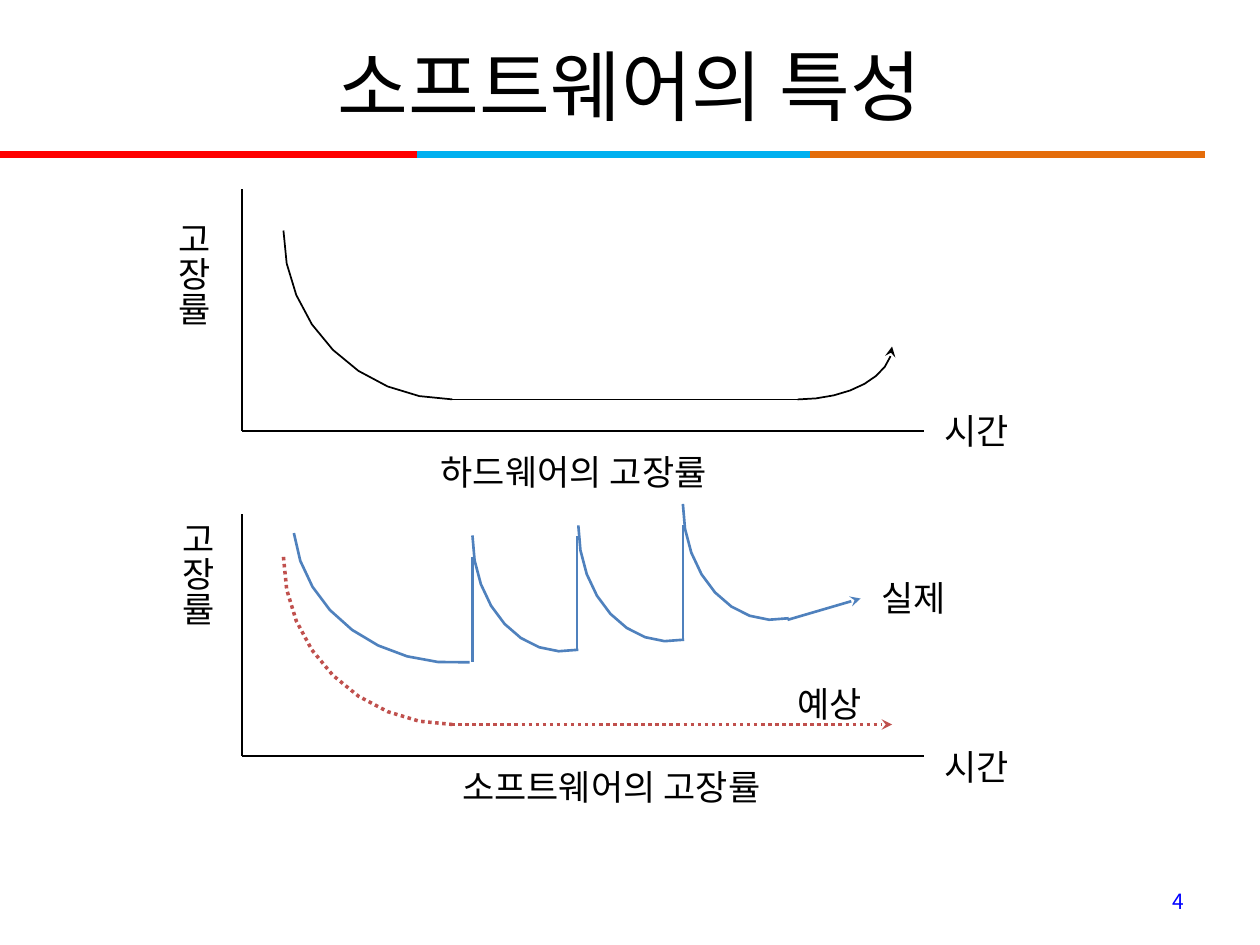
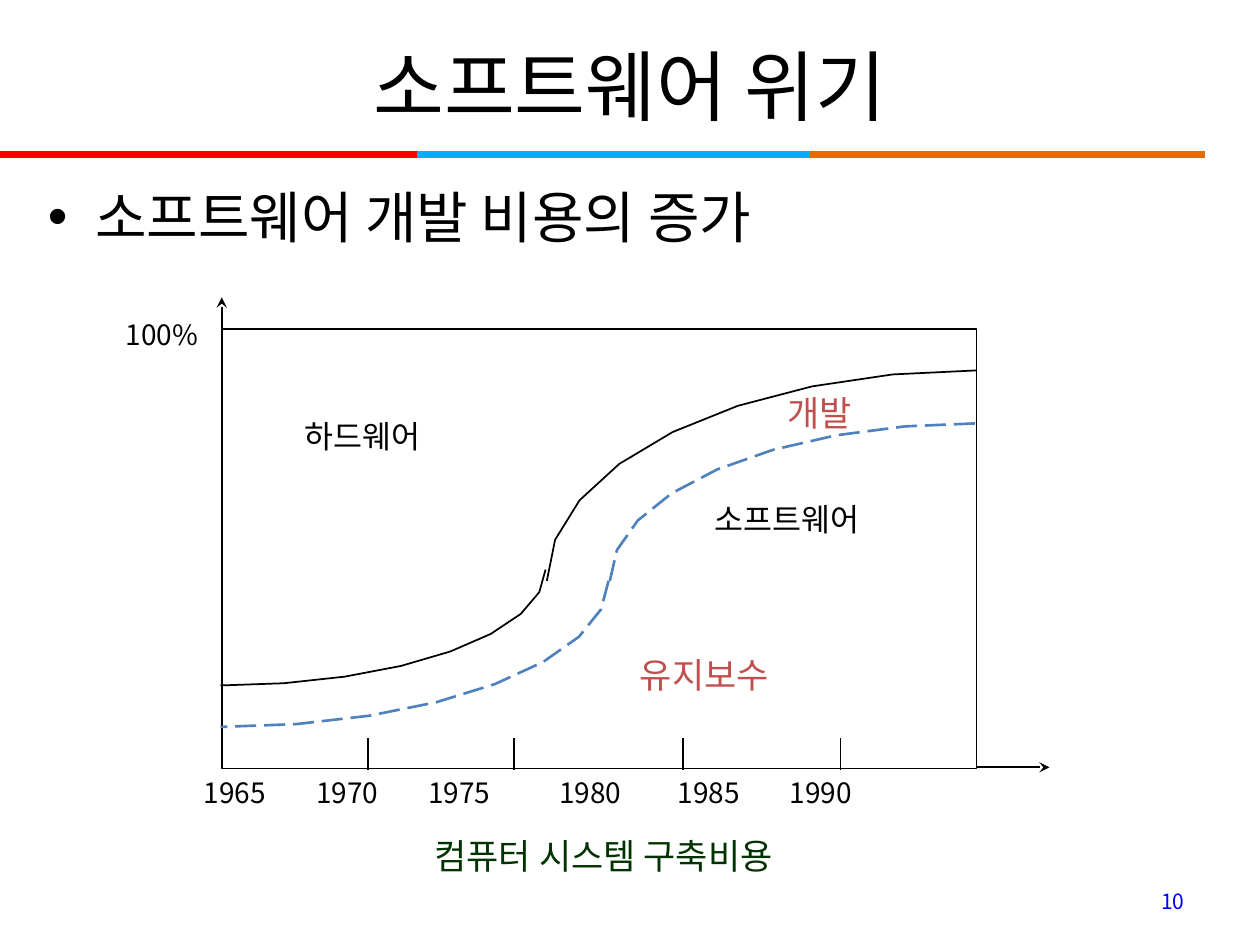
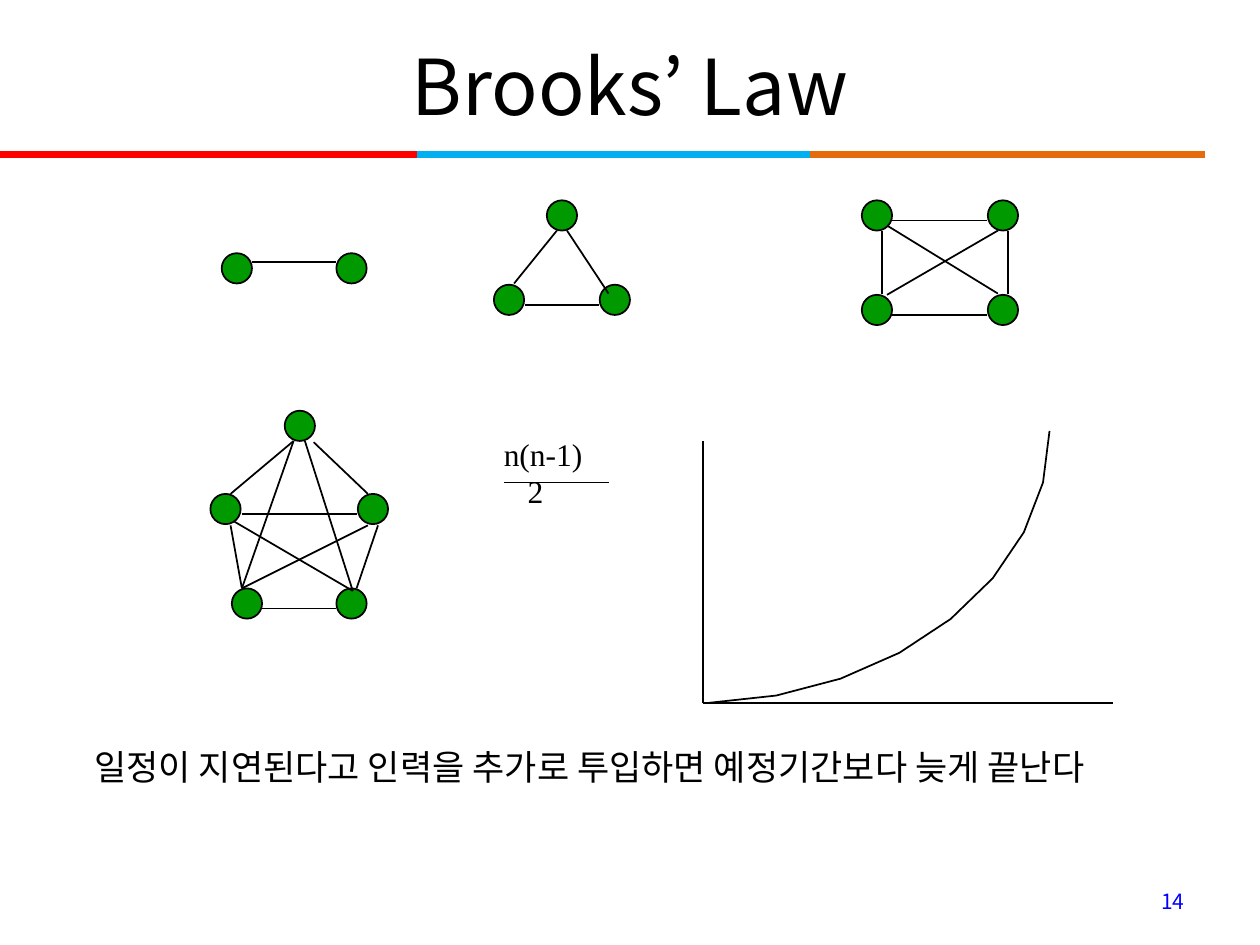
import math

import pptx
import pptx.dml.color
import pptx.enum.dml
import pptx.enum.shapes
import pptx.enum.text
import pptx.oxml
import pptx.oxml.ns
import pptx.util

Inches = pptx.util.Inches
DASH = pptx.enum.dml.MSO_LINE
ALIGN = pptx.enum.text.PP_ALIGN
ANCHOR = pptx.enum.text.MSO_ANCHOR
AUTO_SIZE = pptx.enum.text.MSO_AUTO_SIZE
SHAPE = pptx.enum.shapes.MSO_SHAPE

COLORS = {
    "ink": "000000", "band_red": "FF0000", "band_blue": "00B0F0",
    "band_orange": "E46C0A", "page": "0000FF", "actual": "4F81BD",
    "expected": "C0504D", "caption": "003300", "person": "009900",
}
SANS = "Noto Sans CJK KR"
SERIF = "Times New Roman"
BANDS = [(0, 3.31, "band_red"), (3.31, 6.43, "band_blue"), (6.43, 9.56, "band_orange")]
DOT = 0.24
ARC_STEPS = 8


def rgb(color):
    return pptx.dml.color.RGBColor.from_string(COLORS[color])


def sub_element(parent, tag, **attributes):
    child = pptx.oxml.parse_xml(f"<{tag} {pptx.oxml.ns.nsdecls('a')}/>")
    for key, value in attributes.items():
        child.set(key, value)
    parent.append(child)
    return child


# Text
def write(paragraph, text, size, color="ink", font=SANS):
    run = paragraph.add_run()
    run.text = text
    run.font.size = pptx.util.Pt(size)
    run.font.name = font
    run.font.color.rgb = rgb(color)


def place(box, left, top, width, height):
    box.left, box.top = Inches(left), Inches(top)
    box.width, box.height = Inches(width), Inches(height)


def stack_vertically(frame):
    frame._txBody.bodyPr.set("vert", "eaVert")


def add_label(slide, text, left, top, width, height=0.44, size=20, color="ink", font=SANS):
    box = slide.shapes.add_textbox(
        Inches(left), Inches(top), Inches(width), Inches(height))
    frame = box.text_frame
    frame.word_wrap = False
    frame.auto_size = AUTO_SIZE.SHAPE_TO_FIT_TEXT
    write(frame.paragraphs[0], text, size, color, font)
    return frame


# Lines and curves
def style_line(shape, color, width, dash, arrow):
    shape.line.color.rgb = rgb(color)
    shape.line.width = pptx.util.Pt(width)
    if dash:
        shape.line.dash_style = dash
    if arrow:
        sub_element(shape.line._get_or_add_ln(), f"a:{arrow}", type="stealth")


def add_line(slide, start, end, color="ink", width=1, dash=None, arrow=None):
    line = slide.shapes.add_connector(
        pptx.enum.shapes.MSO_CONNECTOR.STRAIGHT, *map(Inches, (*start, *end)))
    style_line(line, color, width, dash, arrow)
    sub_element(line._element.spPr, "a:effectLst")


def add_arc(slide, start, end, color="ink", width=1, dash=None, arrow=None,
            sweep=90, tilt=0):
    """Elliptical arc: upright at start, level at end; sweep 90 stops at end."""
    points = []
    for step in range(ARC_STEPS + 1):
        angle = math.radians(sweep * step / ARC_STEPS)
        x = end[0] + (start[0] - end[0]) * math.cos(angle)
        y = start[1] + (end[1] - start[1]) * math.sin(angle)
        points.append((Inches(x), Inches(y)))
    builder = slide.shapes.build_freeform(*points[0], scale=1.0)
    builder.add_line_segments(points[1:], close=False)
    arc = builder.convert_to_shape()
    arc.fill.background()
    arc.shadow.inherit = False
    arc.rotation = tilt
    style_line(arc, color, width, dash, arrow)


def add_axes(slide, left, top, right, bottom):
    add_line(slide, (left, top), (left, bottom))
    add_line(slide, (left, bottom), (right, bottom))


def add_preset(slide, kind, left, top, width, height, fill=None):
    shape = slide.shapes.add_shape(kind, *map(Inches, (left, top, width, height)))
    shape.shadow.inherit = False
    if fill:
        shape.fill.solid()
        shape.fill.fore_color.rgb = rgb(fill)
    else:
        shape.fill.background()
    style_line(shape, "ink", 1, None, None)


def add_team(slide, people, links):
    for left, top in people:
        add_preset(slide, SHAPE.OVAL, left, top, DOT, DOT, "person")
    for start, end in links:
        add_line(slide, start, end)


# Shared slide frame
def start_slide(deck, layout, title, page):
    slide = deck.slides.add_slide(deck.slide_layouts[layout])
    for left, right, color in BANDS:
        add_line(slide, (left, 1.23), (right, 1.23), color, 4)

    heading = slide.shapes.title
    place(heading, 0.5, 0.05, 9, 1.25)
    heading.text_frame.auto_size = AUTO_SIZE.NONE
    heading.text_frame.vertical_anchor = ANCHOR.MIDDLE
    heading.text_frame.paragraphs[0].alignment = ALIGN.CENTER
    write(heading.text_frame.paragraphs[0], title, 44)

    number = slide.shapes.add_textbox(*map(Inches, (7.17, 6.95, 2.33, 0.4))).text_frame
    number.word_wrap = True
    number.vertical_anchor = ANCHOR.MIDDLE
    number.paragraphs[0].alignment = ALIGN.RIGHT
    write(number.paragraphs[0], page, 12, "page")
    return slide


def failure_rate_slide(deck):
    slide = start_slide(deck, 1, "소프트웨어의 특성", "4")

    # Hardware failure rate
    add_axes(slide, 1.92, 1.5, 7.33, 3.42)
    add_arc(slide, (2.25, 1.83), (3.59, 3.17))
    add_line(slide, (3.58, 3.17), (6.33, 3.17))
    add_arc(slide, (7.08, 2.75), (6.33, 3.17), arrow="headEnd")
    stack_vertically(add_label(slide, "고장률", 1.21, 1.66, 0.54, 1))

    # Software failure rate, expected
    add_axes(slide, 1.92, 4.08, 7.33, 6)
    add_arc(slide, (2.25, 4.42), (3.59, 5.75), "expected", 2, DASH.ROUND_DOT)
    add_line(slide, (3.58, 5.75), (7.08, 5.75), "expected", 2, DASH.ROUND_DOT, "tailEnd")

    # Software failure rate, actual: each change causes a new peak
    add_arc(slide, (2.4, 4.15), (3.73, 5.34), "actual", 1.5, sweep=87, tilt=-7)
    for left, top in [(3.75, 4.25), (4.59, 4.17), (5.42, 4)]:
        add_arc(slide, (left, top), (left + 0.72, top + 0.92), "actual", 1.5, sweep=99.6)
    for x, bottom, top in [(3.75, 5.25, 4.42), (4.58, 5.17, 4.25), (5.42, 5.08, 4.17)]:
        add_line(slide, (x, bottom), (x, top), "actual", 1.5)
    add_line(slide, (6.25, 4.92), (6.83, 4.75), "actual", 1.5, arrow="tailEnd")

    axis_name = slide.placeholders[1]
    place(axis_name, 1.29, 4.09, 0.54, 1)
    frame = axis_name.text_frame
    frame.word_wrap = False
    frame.auto_size = AUTO_SIZE.SHAPE_TO_FIT_TEXT
    stack_vertically(frame)
    paragraph = frame.paragraphs[0]
    paragraph.space_before = pptx.util.Pt(0)
    properties = paragraph._p.get_or_add_pPr()
    properties.set("marL", "0")
    properties.set("indent", "0")
    sub_element(properties, "a:buNone")
    write(paragraph, "고장률", 20)

    for text, left, top, width in [
        ("시간", 7.4, 3.2, 0.77), ("하드웨어의 고장률", 3.4, 3.53, 2.56),
        ("시간", 7.4, 5.87, 0.77), ("실제", 6.9, 4.53, 0.77),
        ("예상", 6.23, 5.37, 0.77), ("소프트웨어의 고장률", 3.57, 6.03, 2.84),
    ]:
        add_label(slide, text, left, top, width)


def cost_slide(deck):
    slide = start_slide(deck, 1, "소프트웨어 위기", "10")
    body = slide.placeholders[1]
    place(body, 0.28, 1.4, 9.32, 4.52)
    body.text_frame.auto_size = AUTO_SIZE.NONE
    write(body.text_frame.paragraphs[0], "소프트웨어 개발 비용의 증가", 32)

    # Plot area and axes
    add_preset(slide, SHAPE.RECTANGLE, 1.76, 2.61, 5.99, 3.49)
    add_line(slide, (1.76, 2.86), (1.76, 2.36), arrow="tailEnd")
    add_line(slide, (7.75, 6.09), (8.33, 6.09), arrow="tailEnd")
    for x in (2.92, 4.08, 5.42, 6.67):
        add_line(slide, (x, 6.11), (x, 5.86))

    # Hardware/software border, then development/maintenance border
    add_arc(slide, (4.33, 4.52), (1.75, 5.44))
    add_arc(slide, (4.34, 4.61), (7.75, 2.94))
    add_arc(slide, (4.83, 4.61), (1.75, 5.77), "actual", 1.5, DASH.LONG_DASH)
    add_arc(slide, (4.84, 4.61), (7.75, 3.36), "actual", 1.5, DASH.LONG_DASH)

    # Labels
    add_label(slide, "하드웨어", 2.32, 3.26, 1.21, 0.4, 18, font=SERIF)
    add_label(slide, "소프트웨어", 5.57, 3.92, 1.46, 0.4, 18, font=SERIF)
    add_label(slide, "개발", 6.15, 3.06, 0.77, color="expected")
    add_label(slide, "유지보수", 4.98, 5.14, 1.33, color="expected")
    add_label(slide, "100%", 0.9, 2.47, 0.79, 0.37, 16)
    add_label(slide, "컴퓨터 시스템 구축비용", 3.35, 6.57, 3.21, color="caption")

    # Years, set on tab stops
    years = "\t".join(str(year) for year in range(1965, 1991, 5))
    frame = add_label(slide, years, 1.52, 6.11, 6.78, 0.37, 16)
    frame.word_wrap = True
    tabs = sub_element(frame.paragraphs[0]._p.get_or_add_pPr(), "a:tabLst")
    for stop in (0.89, 1.78, 2.82, 3.76, 4.65):
        sub_element(tabs, "a:tab", pos=str(Inches(stop)), algn="l")


def brooks_slide(deck):
    slide = start_slide(deck, 5, "Brooks’ Law", "14")

    # Teams of two to five people
    add_team(slide, [(1.76, 2.01), (2.67, 2.01)], [((2, 2.08), (2.67, 2.08))])
    add_team(slide, [(4.76, 2.26), (3.92, 2.26), (4.34, 1.59)], [
        ((4.42, 1.83), (4.08, 2.25)), ((4.5, 1.83), (4.83, 2.33)),
        ((4.17, 2.42), (4.75, 2.42)),
    ])
    add_team(slide, [(x, y) for x in (6.84, 7.84) for y in (1.59, 2.34)], [
        ((7.08, 1.75), (7.83, 1.75)), ((7, 1.83), (7, 2.33)),
        ((7.08, 2.5), (7.83, 2.5)), ((8, 1.83), (8, 2.33)),
        ((7.04, 1.79), (7.92, 2.33)), ((7.92, 1.83), (7.04, 2.34)),
    ])
    add_team(slide, [(1.67, 3.92), (2.84, 3.92), (2.67, 4.67), (1.84, 4.67), (2.26, 3.26)], [
        ((2.33, 3.5), (1.83, 3.92)), ((2.49, 3.51), (2.92, 3.92)),
        ((1.83, 4.17), (1.92, 4.67)), ((3, 4.17), (2.83, 4.67)),
        ((2.08, 4.83), (2.67, 4.83)), ((1.92, 4.08), (2.83, 4.08)),
        ((2.33, 3.5), (1.92, 4.67)), ((2.42, 3.5), (2.8, 4.69)),
        ((2.92, 4.17), (1.92, 4.67)), ((1.86, 4.14), (2.8, 4.69)),
    ])

    # Number of links
    formula = add_label(slide, "n(n-1)", 3.9, 3.4, 0.84, 0.71, 18, font=SERIF)
    divisor = formula.add_paragraph()
    divisor._p.get_or_add_pPr().set("marL", str(Inches(0.19)))
    write(divisor, "2", 18, font=SERIF)
    add_line(slide, (4, 3.83), (4.83, 3.83))

    # Growth curve
    add_axes(slide, 5.58, 3.5, 8.83, 5.58)
    add_arc(slide, (8.33, 3.42), (5.5, 5.58), sweep=87.4)
    add_label(slide, "일정이 지연된다고 인력을 추가로 투입하면 예정기간보다 늦게 끝난다",
              0.65, 5.87, 8.99)


def main():
    deck = pptx.Presentation()
    deck.slide_width, deck.slide_height = Inches(10), Inches(7.5)
    failure_rate_slide(deck)
    cost_slide(deck)
    brooks_slide(deck)
    deck.save("out.pptx")


if __name__ == "__main__":
    main()
